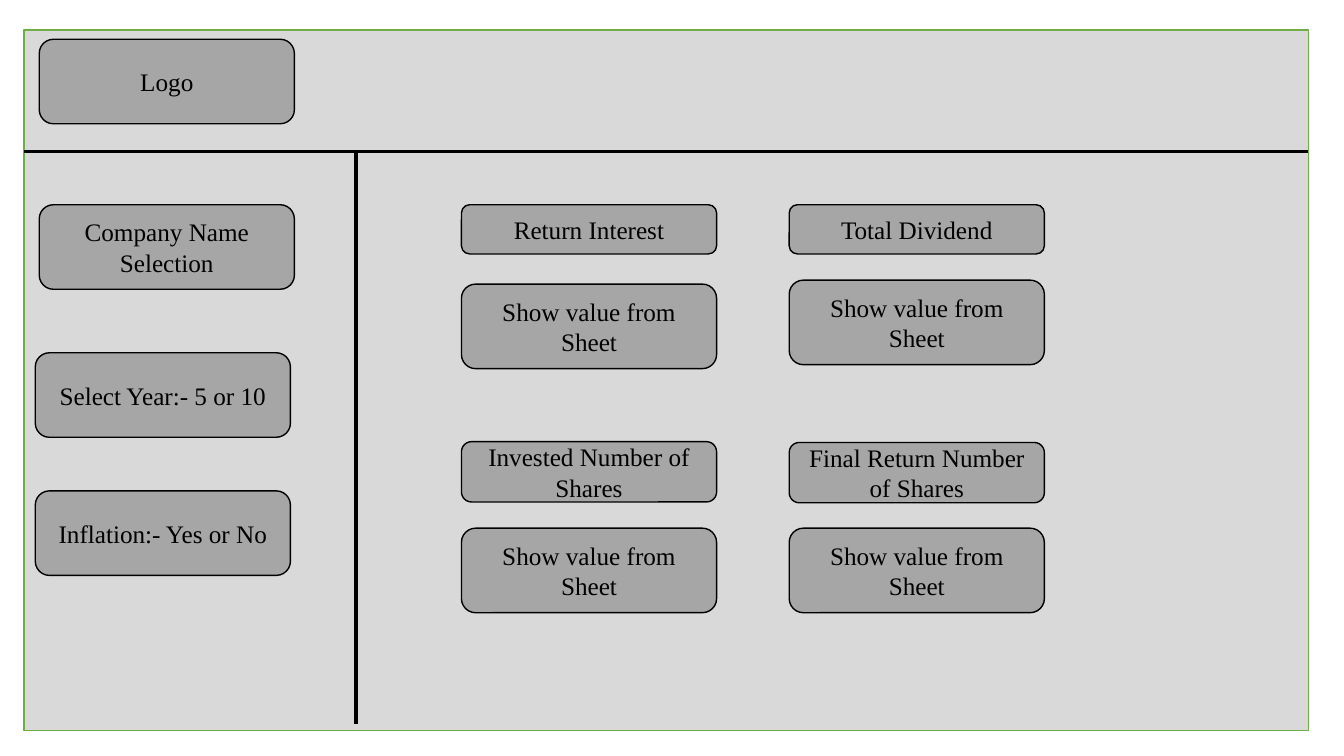
from pptx import Presentation
from pptx.dml.color import RGBColor
from pptx.enum.shapes import MSO_CONNECTOR as Connector, MSO_SHAPE as Shape
from pptx.enum.text import MSO_ANCHOR as Anchor, PP_ALIGN as Align
from pptx.oxml.ns import qn
from pptx.util import Cm, Pt
from lxml.etree import SubElement

BLACK = RGBColor(0x00, 0x00, 0x00)
PANEL_GRAY = RGBColor(0xD9, 0xD9, 0xD9)
BOX_GRAY = RGBColor(0xA6, 0xA6, 0xA6)
GREEN = RGBColor(0x70, 0xAD, 0x47)
FONT = "Times New Roman"

# Lengths in centimetres
PANEL_LEFT, PANEL_TOP, PANEL_WIDTH, PANEL_HEIGHT = 0.61, 0.76, 32.36, 17.65
HEADER_BOTTOM = 3.81
SIDEBAR_RIGHT, SIDEBAR_BOTTOM = 8.97, 18.24
BOX_WIDTH, BOX_HEIGHT = 6.43, 2.13
VALUE_TEXT = "Show value from Sheet"

# Text, left, top
SIDEBAR_BOXES = [
    ("Logo", 0.99, 0.99),
    ("Company Name Selection", 0.99, 5.16),
    ("Select Year:- 5 or 10", 0.89, 8.89),
    ("Inflation:- Yes or No", 0.89, 12.37),
]
# Title, left, title top, title height, value top
METRICS = [
    ("Return Interest", 11.63, 5.16, 1.24, 7.16),
    ("Total Dividend", 19.89, 5.16, 1.24, 7.06),
    ("Invested Number of Shares", 11.63, 11.13, 1.52, 13.31),
    ("Final Return Number of Shares", 19.89, 11.15, 1.52, 13.31),
]


def add_filled_shape(slide, kind, left, top, width, height, fill, line):
    shape = slide.shapes.add_shape(kind, Cm(left), Cm(top), Cm(width), Cm(height))
    shape.shadow.inherit = False
    shape.fill.solid()
    shape.fill.fore_color.rgb = fill
    shape.line.color.rgb = line
    shape.line.width = Pt(1)
    return shape


def add_box(slide, text, left, top, height=BOX_HEIGHT):
    box = add_filled_shape(slide, Shape.ROUNDED_RECTANGLE, left, top,
                           BOX_WIDTH, height, BOX_GRAY, BLACK)
    frame = box.text_frame
    frame.word_wrap = True
    frame.vertical_anchor = Anchor.MIDDLE
    frame.text = text
    label = frame.paragraphs[0]
    label.alignment = Align.CENTER
    font = label.runs[0].font
    font.name = FONT
    font.size = Pt(18)
    font.color.rgb = BLACK


def add_divider(slide, x1, y1, x2, y2):
    divider = slide.shapes.add_connector(Connector.STRAIGHT,
                                         Cm(x1), Cm(y1), Cm(x2), Cm(y2))
    divider.line.color.rgb = BLACK
    divider.line.width = Pt(2.25)
    SubElement(divider._element.spPr, qn("a:effectLst"))


def main():
    deck = Presentation()
    deck.slide_width, deck.slide_height = Cm(33.87), Cm(19.05)
    slide = deck.slides.add_slide(deck.slide_layouts[6])

    add_filled_shape(slide, Shape.RECTANGLE, PANEL_LEFT, PANEL_TOP,
                     PANEL_WIDTH, PANEL_HEIGHT, PANEL_GRAY, GREEN)
    add_divider(slide, PANEL_LEFT, HEADER_BOTTOM,
                PANEL_LEFT + PANEL_WIDTH, HEADER_BOTTOM)
    add_divider(slide, SIDEBAR_RIGHT, HEADER_BOTTOM, SIDEBAR_RIGHT, SIDEBAR_BOTTOM)

    for text, left, top in SIDEBAR_BOXES:
        add_box(slide, text, left, top)
    for title, left, title_top, title_height, value_top in METRICS:
        add_box(slide, title, left, title_top, title_height)
        add_box(slide, VALUE_TEXT, left, value_top)

    deck.save("out.pptx")


if __name__ == "__main__":
    main()
